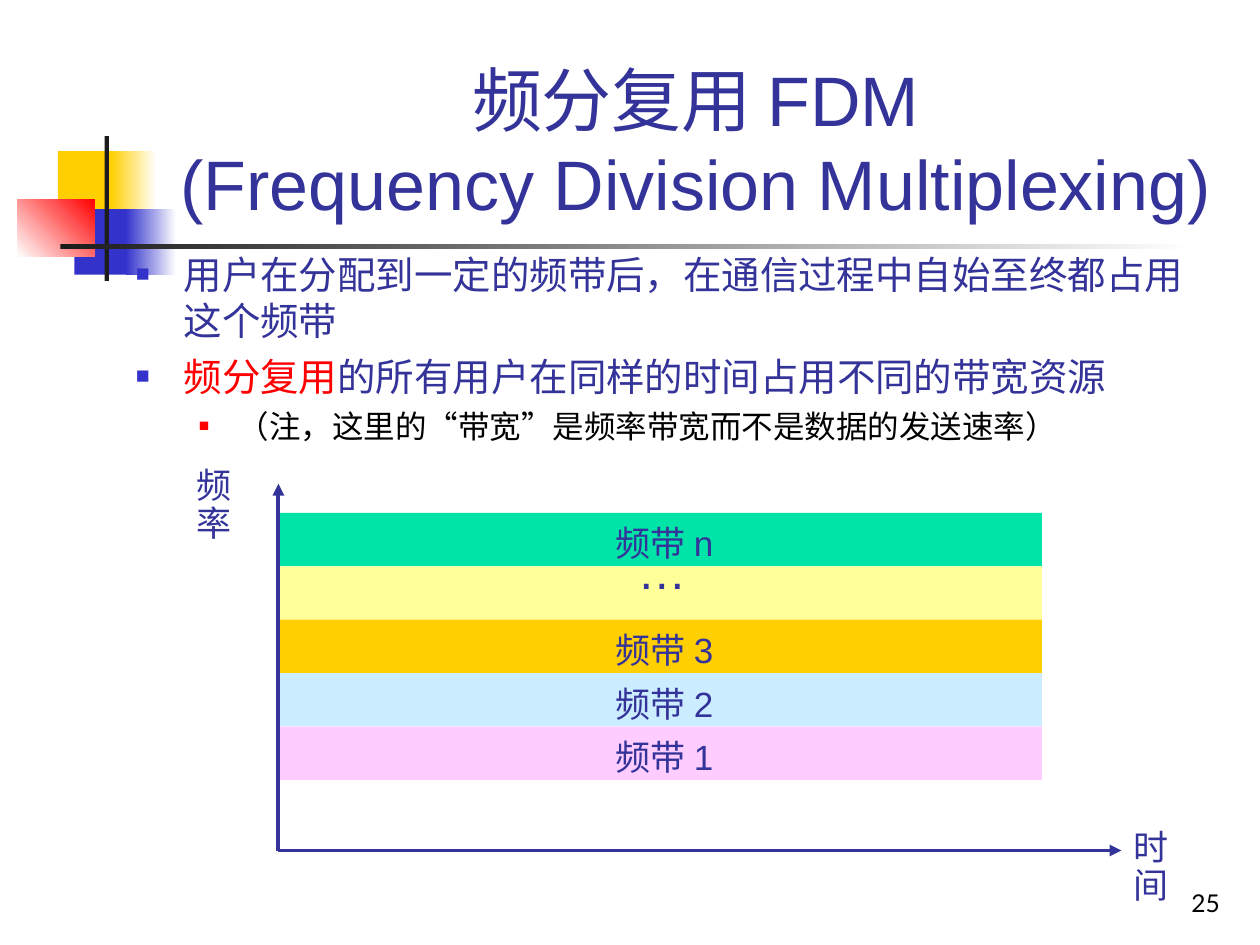
from lxml.etree import SubElement
from pptx import Presentation
from pptx.dml.color import RGBColor
from pptx.enum.shapes import MSO_CONNECTOR, MSO_SHAPE
from pptx.enum.text import MSO_ANCHOR, MSO_AUTO_SIZE, PP_ALIGN
from pptx.oxml.ns import qn
from pptx.util import Inches, Pt

COLS, ROWS = 100, 75
NAVY, BLUE, RED, GOLD = "333399", "3333CC", "FF0000", "FFCF01"
BLACK, WHITE, DARK = "000000", "FFFFFF", "1C1C1C"

prs = Presentation()
prs.slide_width, prs.slide_height = Inches(10), Inches(7.5)


def rgb(color):
    return RGBColor.from_string(color)


def cell(x, y):
    """Turn grid columns and rows into slide lengths."""
    return int(prs.slide_width * x / COLS), int(prs.slide_height * y / ROWS)


def style(r, size, color, font="Arial"):
    r.font.size, r.font.name = Pt(size), font
    r.font.color.rgb = rgb(color)


def add_block(s, x, y, w, h, colors, angle=0):
    """Add a borderless rectangle; two colours make a gradient."""
    sp = s.shapes.add_shape(MSO_SHAPE.RECTANGLE, *cell(x, y), *cell(w, h))
    sp.shadow.inherit = False
    sp.line.fill.background()
    if len(colors) == 1:
        sp.fill.solid()
        sp.fill.fore_color.rgb = rgb(colors[0])
        return
    sp.fill.gradient()
    sp.fill.gradient_angle = angle
    for stop, color in zip(sp.fill.gradient_stops, colors):
        stop.color.rgb = rgb(color)


def add_label(s, x, y, w, h, text, size=20, color=NAVY, font="Arial"):
    tf = s.shapes.add_textbox(*cell(x, y), *cell(w, h)).text_frame
    tf.word_wrap = False
    tf.text = text
    p = tf.paragraphs[0]
    p.line_spacing = 0.9
    style(p.runs[0], size, color, font)
    return tf


def add_arrow(s, start, end):
    line = s.shapes.add_connector(MSO_CONNECTOR.STRAIGHT, *cell(*start), *cell(*end))
    line.line.color.rgb = rgb(NAVY)
    line.line.width = Pt(2.25)
    SubElement(line.line._get_or_add_ln(), qn("a:tailEnd"), type="triangle")
    SubElement(line._element.spPr, qn("a:effectLst"))


def add_ornament(s, x, y):
    blocks = [
        (3.2, 1.2, 4.8, 5.2, [GOLD], 0),
        (7.4, 1.2, 3.6, 5.2, [GOLD, WHITE], 0),
        (4.5, 5.8, 4.6, 5.2, [BLUE], 0),
        (8.6, 5.8, 4, 5.2, [BLUE, WHITE], 0),
        (0, 5, 6.1, 4.6, [WHITE, RED], 45),
        (6.9, 0, 0.35, 11.5, [DARK], 0),
        (3.4, 8.6, 90, 0.35, [DARK, WHITE], 0),
    ]
    for dx, dy, w, h, colors, angle in blocks:
        add_block(s, x + dx, y + dy, w, h, colors, angle)


def add_title(s, x, y, w, h):
    title = s.shapes.title
    title.left, title.top = cell(x, y)
    title.width, title.height = cell(w, h)
    tf = title.text_frame
    tf.auto_size = MSO_AUTO_SIZE.NONE
    tf.vertical_anchor = MSO_ANCHOR.BOTTOM
    tf.text = "频分复用 FDM\v(Frequency Division Multiplexing)"
    p = tf.paragraphs[0]
    p.alignment = PP_ALIGN.CENTER
    for r in p.runs:
        style(r, 40, NAVY)


def add_bullet(p, indent, hanging, color, percent):
    pPr = p._p.get_or_add_pPr()
    pPr.set("marL", str(Inches(indent)))
    pPr.set("indent", str(-Inches(hanging)))
    SubElement(SubElement(pPr, qn("a:buClr")), qn("a:srgbClr"), val=color)
    SubElement(pPr, qn("a:buSzPct"), val=str(percent * 1000))
    SubElement(pPr, qn("a:buFont"), typeface="Arial")
    SubElement(pPr, qn("a:buChar"), char="■")


def add_body(s, x, y, w, h):
    tf = s.shapes.add_textbox(*cell(x, y), *cell(w, h)).text_frame
    tf.word_wrap = True
    main, note = (0.38, 0.38, BLUE, 60), (0.81, 0.31, RED, 55)
    items = [
        (0, main, 22, "Arial",
         [("用户在分配到一定的频带后，在通信过程中自始至终都占用这个频带", NAVY)]),
        (0, main, 22, "Arial",
         [("频分复用", RED), ("的所有用户在同样的时间占用不同的带宽资源", NAVY)]),
        (1, note, 18, "Lato",
         [("（注，这里的“带宽”是频率带宽而不是数据的发送速率）", BLACK)]),
    ]
    for i, (level, bullet, size, font, runs) in enumerate(items):
        p = tf.add_paragraph() if i else tf.paragraphs[0]
        p.level = level
        if i:
            p.space_before = Pt(size / 4)
        add_bullet(p, *bullet)
        for text, color in runs:
            r = p.add_run()
            r.text = text
            style(r, size, color, font)


def add_band_chart(s, x, y, w, h):
    """Draw stacked frequency bands over time; (x, y) is the top of the frequency axis."""
    band_w, band_h, first = 60.6, 4.24, y + 2.3
    bands = [("频带 n", "00E4A8"), ("…", "FFFF99"), ("频带 3", GOLD),
             ("频带 2", "CCECFF"), ("频带 1", "FFCCFF")]
    add_arrow(s, (x, y + h), (x + w, y + h))
    add_label(s, x - 7.5, y - 1.7, 7.5, 4, "频率", font="Times New Roman")
    add_label(s, x + w, y + h - 2.1, 7.5, 4, "时间", font="Times New Roman")
    for i, (_, color) in enumerate(bands):
        add_block(s, x, first + i * band_h, band_w, band_h, [color])
    for i, (text, _) in enumerate(bands):
        top = first + i * band_h
        if text == "…":
            add_label(s, x + 27.5, top - 2, 5.9, 5.2, text, size=28)
        else:
            add_label(s, x + 25.8, top + 0.6, 10.4, 4, text)
    add_arrow(s, (x, y + h), (x, y))


def add_page_number(s, x, y, w, h):
    tf = add_label(s, x, y, w, h, "25", 14, BLACK, "Lato")
    tf.word_wrap = True
    tf.vertical_anchor = MSO_ANCHOR.BOTTOM
    tf.paragraphs[0].alignment = PP_ALIGN.RIGHT
    tf.paragraphs[0].line_spacing = 1.0


def main():
    s = prs.slides.add_slide(prs.slide_layouts[5])
    add_ornament(s, 1.4, 10.8)
    add_title(s, 12.6, 2.3, 85.2, 16)
    add_body(s, 9.8, 19.4, 86.6, 19.7)
    add_band_chart(s, 22.1, 38.4, 66.9, 29.1)
    add_page_number(s, 77, 68.3, 20.8, 5)
    prs.save("out.pptx")


if __name__ == "__main__":
    main()
